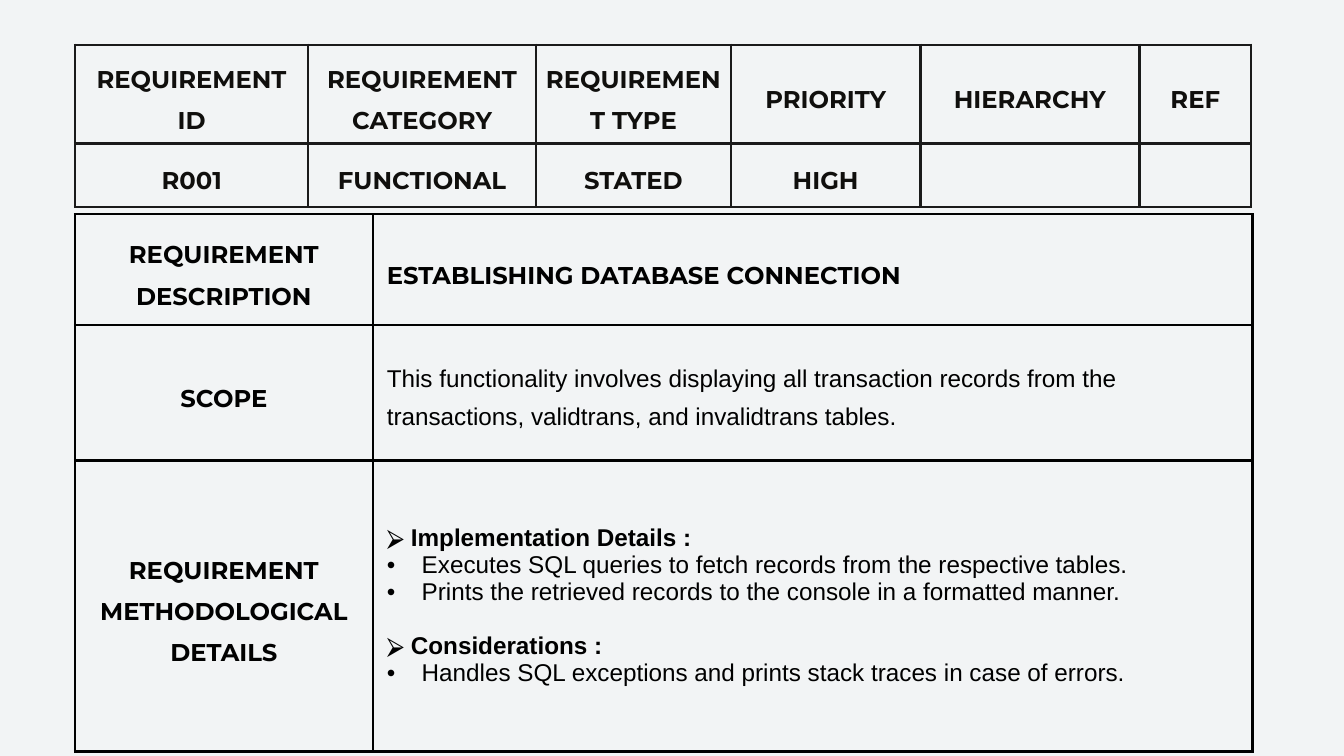
from dataclasses import dataclass

from lxml.etree import SubElement
from pptx import Presentation
from pptx.dml.color import RGBColor
from pptx.enum.text import MSO_ANCHOR as Anchor, PP_ALIGN as Align
from pptx.oxml import parse_xml
from pptx.oxml.ns import nsdecls, qn
from pptx.util import Cm, Pt

BACKGROUND = RGBColor(0xF2, 0xF4, 0xF5)
SUMMARY_BORDER = RGBColor(0x1A, 0x1A, 0x1A)
SUMMARY_TEXT = RGBColor(0x10, 0x0F, 0x0D)
LABEL_TEXT = RGBColor(0x01, 0x01, 0x01)
BLACK = RGBColor(0, 0, 0)

HEADING_FONT = "Montserrat"
BODY_FONT = "Arial"
TEXT_SIZE = Pt(26)
BORDER_WIDTH = Pt(3)
TABLE_LEFT = Cm(2.84)


@dataclass(frozen=True)
class Line:
    text: str
    color: RGBColor = BLACK
    font: str = BODY_FONT
    bold: bool = False
    align: Align = Align.LEFT
    spacing: float = 1.4
    bullet: str = ""
    indent: Cm = Cm(0)
    space_before: Pt = Pt(0)


@dataclass(frozen=True)
class Grid:
    top: Cm
    columns: list[float]
    rows: list[float]
    margin: Cm
    border: RGBColor
    cells: list[list[list[Line]]]


def summary(text: str) -> list[Line]:
    if not text:
        return []
    return [Line(text, SUMMARY_TEXT, HEADING_FONT, True, Align.CENTER)]


def label(text: str) -> list[Line]:
    return [Line(text, LABEL_TEXT, HEADING_FONT, True, Align.CENTER)]


def topic(text: str, space_before: Pt = Pt(0)) -> Line:
    return Line(text, bold=True, spacing=1.0, bullet="⮚", indent=Cm(0.91),
                space_before=space_before)


def point(text: str) -> Line:
    return Line(text, spacing=1.0, bullet="•", indent=Cm(1.32))


SUMMARY_GRID = Grid(
    top=Cm(1.7),
    columns=[8.81, 8.61, 7.37, 7.16, 8.28, 4.22],
    rows=[3.45, 2.39],
    margin=Cm(0.3),
    border=SUMMARY_BORDER,
    cells=[
        [summary(text) for text in (
            "REQUIREMENT ID", "REQUIREMENT CATEGORY", "REQUIREMENT TYPE",
            "PRIORITY", "HIERARCHY", "REF")],
        [summary(text) for text in ("R001", "FUNCTIONAL", "STATED", "HIGH", "", "")],
    ],
)

DETAIL_GRID = Grid(
    top=Cm(8.1),
    columns=[11.25, 33.25],
    rows=[3.84, 5.11, 11],
    margin=Cm(0.53),
    border=BLACK,
    cells=[
        [label("REQUIREMENT DESCRIPTION"),
         [Line("ESTABLISHING DATABASE CONNECTION", font=HEADING_FONT, bold=True)]],
        [label("SCOPE"),
         [Line("This functionality involves displaying all transaction records from "
               "the transactions, validtrans, and invalidtrans tables.")]],
        [label("REQUIREMENT METHODOLOGICAL DETAILS"),
         [topic("Implementation Details :"),
          point("Executes SQL queries to fetch records from the respective tables."),
          point("Prints the retrieved records to the console in a formatted manner."),
          topic("Considerations :", space_before=Pt(29)),
          point("Handles SQL exceptions and prints stack traces in case of errors.")]],
    ],
)


def add_borders(cell, color: RGBColor) -> None:
    properties = cell._tc.get_or_add_tcPr()
    for position, side in enumerate(("lnL", "lnR", "lnT", "lnB")):
        properties.insert(position, parse_xml(
            f'<a:{side} {nsdecls("a")} w="{BORDER_WIDTH}"><a:solidFill>'
            f'<a:srgbClr val="{color}"/></a:solidFill></a:{side}>'))


def add_bullet(paragraph, line: Line) -> None:
    properties = paragraph._p.get_or_add_pPr()
    properties.set("marL", str(line.indent))
    properties.set("indent", str(-line.indent))
    bullet_color = SubElement(properties, qn("a:buClr"))
    SubElement(bullet_color, qn("a:srgbClr"), val=str(line.color))
    SubElement(properties, qn("a:buFont"), typeface=BODY_FONT)
    SubElement(properties, qn("a:buChar"), char=line.bullet)


def write_line(paragraph, line: Line) -> None:
    paragraph.alignment = line.align
    paragraph.line_spacing = line.spacing
    paragraph.space_before = line.space_before
    if line.bullet:
        add_bullet(paragraph, line)
    run = paragraph.add_run()
    run.text = line.text
    run.font.name = line.font
    run.font.size = TEXT_SIZE
    run.font.bold = line.bold
    run.font.color.rgb = line.color


def fill_cell(cell, lines: list[Line], grid: Grid) -> None:
    cell.fill.background()
    add_borders(cell, grid.border)
    cell.vertical_anchor = Anchor.MIDDLE
    cell.margin_left = cell.margin_right = grid.margin
    cell.margin_top = cell.margin_bottom = grid.margin
    frame = cell.text_frame
    for index, line in enumerate(lines):
        write_line(frame.add_paragraph() if index else frame.paragraphs[0], line)


def add_grid(slide, grid: Grid) -> None:
    table = slide.shapes.add_table(
        len(grid.rows), len(grid.columns), TABLE_LEFT, grid.top,
        Cm(sum(grid.columns)), Cm(sum(grid.rows))).table
    table.first_row = table.horz_banding = False
    for column, width in zip(table.columns, grid.columns):
        column.width = Cm(width)
    for row, height, contents in zip(table.rows, grid.rows, grid.cells):
        row.height = Cm(height)
        for cell, lines in zip(row.cells, contents):
            fill_cell(cell, lines, grid)


def main() -> None:
    presentation = Presentation()
    presentation.slide_width = Cm(50.8)
    presentation.slide_height = Cm(28.58)
    slide = presentation.slides.add_slide(presentation.slide_layouts[6])
    slide.background.fill.solid()
    slide.background.fill.fore_color.rgb = BACKGROUND
    for grid in (SUMMARY_GRID, DETAIL_GRID):
        add_grid(slide, grid)
    presentation.save("out.pptx")


if __name__ == "__main__":
    main()
